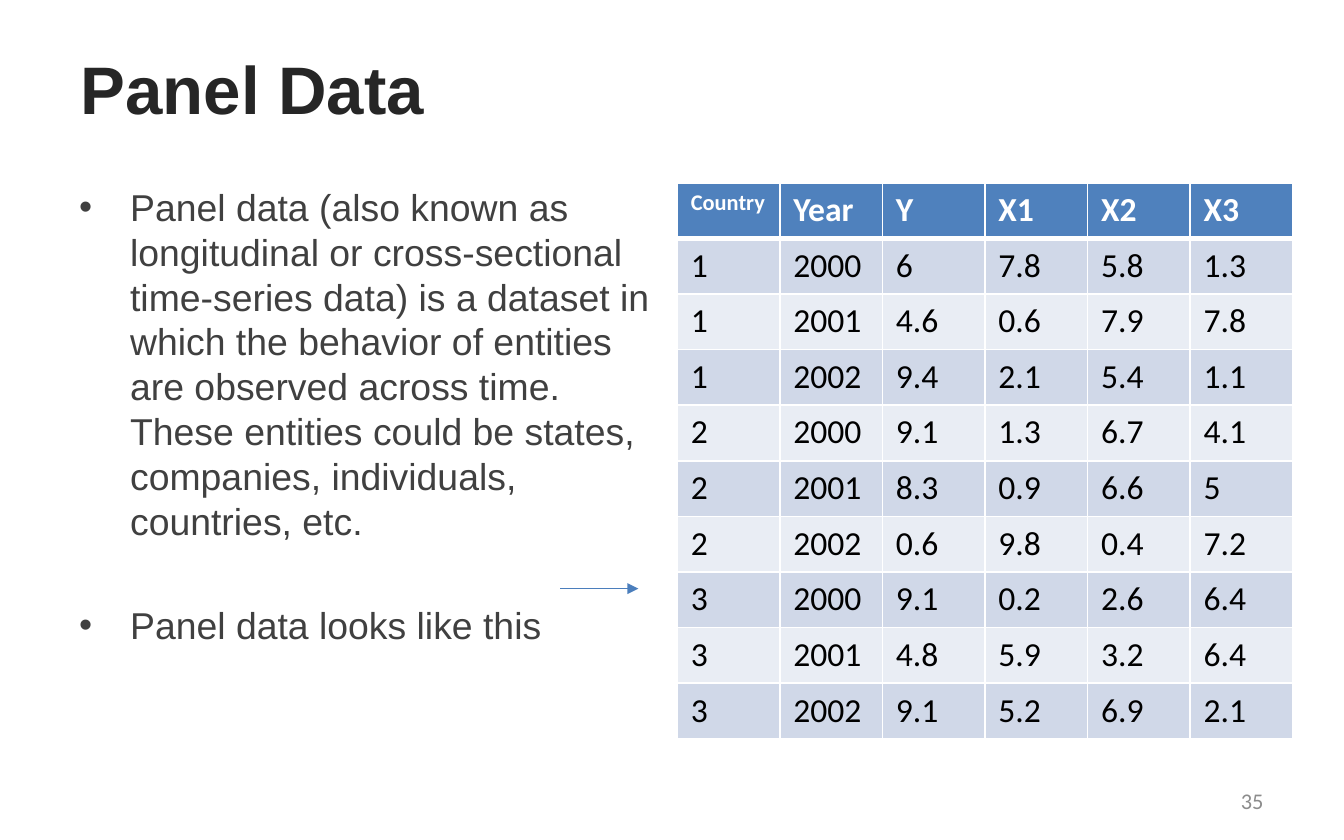
from lxml import etree
from pptx import Presentation
from pptx.dml.color import RGBColor
from pptx.enum.shapes import MSO_CONNECTOR
from pptx.enum.text import MSO_ANCHOR, PP_ALIGN
from pptx.oxml.ns import qn
from pptx.util import Inches, Pt

STRAIGHT = MSO_CONNECTOR.STRAIGHT
MIDDLE = MSO_ANCHOR.MIDDLE
LEFT, RIGHT = PP_ALIGN.LEFT, PP_ALIGN.RIGHT

WHITE = RGBColor(0xFF, 0xFF, 0xFF)
BLACK = RGBColor(0x00, 0x00, 0x00)
TITLE_GRAY = RGBColor(0x26, 0x26, 0x26)
BODY_GRAY = RGBColor(0x40, 0x40, 0x40)
NUMBER_GRAY = RGBColor(0x8C, 0x8C, 0x8C)
HEADER_BLUE = RGBColor(0x4F, 0x81, 0xBD)
BANDS = (RGBColor(0xD0, 0xD8, 0xE8), RGBColor(0xE9, 0xED, 0xF4))
ARROW_BLUE = RGBColor(0x4B, 0x7E, 0xBC)

# Content
TITLE = "Panel Data"
BULLETS = [
    "Panel data (also known as longitudinal or cross-sectional time-series data) "
    "is a dataset in which the behavior of entities are observed across time. "
    "These entities could be states, companies, individuals, countries, etc.",
    "Panel data looks like this",
]
SLIDE_NUMBER = "35"
HEADER = ("Country", "Year", "Y", "X1", "X2", "X3")
OBSERVATIONS = [
    ("1", "2000", "6", "7.8", "5.8", "1.3"),
    ("1", "2001", "4.6", "0.6", "7.9", "7.8"),
    ("1", "2002", "9.4", "2.1", "5.4", "1.1"),
    ("2", "2000", "9.1", "1.3", "6.7", "4.1"),
    ("2", "2001", "8.3", "0.9", "6.6", "5"),
    ("2", "2002", "0.6", "9.8", "0.4", "7.2"),
    ("3", "2000", "9.1", "0.2", "2.6", "6.4"),
    ("3", "2001", "4.8", "5.9", "3.2", "6.4"),
    ("3", "2002", "9.1", "5.2", "6.9", "2.1"),
]

# Layout in inches: left, top, width, height
SLIDE_SIZE = (10, 6.25)
TITLE_BOX = (0.5, 0.13, 9, 1.04)
BODY_BOX = (0.49, 1.32, 5.26, 4.12)
NUMBER_BOX = (7.17, 5.79, 2.33, 0.33)
TABLE_BOX = (5.04, 1.36, 4.58, 4.14)
ARROW_START, ARROW_END, ARROW_Y = 4.17, 4.75, 4.38
BULLET_INDENT = 0.38
TABLE_GAP = 0.16  # between the bullet text and the table


def inches(lengths):
    return [Inches(length) for length in lengths]


def add_run(paragraph, text, size, color, font="Arial", bold=False):
    run = paragraph.add_run()
    run.text = text
    run.font.size = Pt(size)
    run.font.name = font
    run.font.bold = bold
    run.font.color.rgb = color


def add_text_frame(slide, box):
    frame = slide.shapes.add_textbox(*inches(box)).text_frame
    frame.word_wrap = True
    return frame


def set_bullet(paragraph):
    properties = paragraph._p.get_or_add_pPr()
    properties.set("marL", str(Inches(BULLET_INDENT)))
    properties.set("indent", str(-Inches(BULLET_INDENT)))
    etree.SubElement(properties, qn("a:buFont")).set("typeface", "Arial")
    etree.SubElement(properties, qn("a:buChar")).set("char", "•")


def set_borders(cell, **widths):
    properties = cell._tc.get_or_add_tcPr()
    for position, side in enumerate("LRTB"):
        line = etree.Element(qn(f"a:ln{side}"), w=str(Pt(widths.get(side, 1))))
        fill = etree.SubElement(line, qn("a:solidFill"))
        etree.SubElement(fill, qn("a:srgbClr")).set("val", str(WHITE))
        properties.insert(position, line)


def add_title(slide):
    title = slide.shapes.title
    title.left, title.top, title.width, title.height = inches(TITLE_BOX)
    title.text_frame.vertical_anchor = MIDDLE
    paragraph = title.text_frame.paragraphs[0]
    paragraph.alignment = LEFT
    add_run(paragraph, TITLE, 36, TITLE_GRAY, bold=True)


def add_bullets(slide):
    frame = add_text_frame(slide, BODY_BOX)
    # Wrap the text before it reaches the table
    text_right = TABLE_BOX[0] - TABLE_GAP
    frame.margin_right = Inches(BODY_BOX[0] + BODY_BOX[2] - text_right)
    for index, text in enumerate(BULLETS):
        paragraph = frame.add_paragraph() if index else frame.paragraphs[0]
        set_bullet(paragraph)
        paragraph.line_spacing = Pt(24)
        if index:
            paragraph.space_before = Pt(32)
        add_run(paragraph, text, 20, BODY_GRAY)


def add_panel_table(slide):
    rows = [HEADER] + OBSERVATIONS
    table = slide.shapes.add_table(len(rows), len(HEADER), *inches(TABLE_BOX)).table
    for column in table.columns:
        column.width = Inches(TABLE_BOX[2] / len(HEADER))
    for row_index, values in enumerate(rows):
        table.rows[row_index].height = Inches(TABLE_BOX[3] / len(rows))
        is_header = row_index == 0
        for column_index, value in enumerate(values):
            cell = table.cell(row_index, column_index)
            cell.fill.solid()
            cell.fill.fore_color.rgb = HEADER_BLUE if is_header else BANDS[(row_index - 1) % 2]
            set_borders(cell, T=3 if row_index == 1 else 1, B=3 if is_header else 1)
            size = 12 if value == "Country" else 18
            add_run(cell.text_frame.paragraphs[0], value, size,
                    WHITE if is_header else BLACK, "Calibri", is_header)


def add_arrow(slide):
    arrow = slide.shapes.add_connector(
        STRAIGHT, *inches((ARROW_START, ARROW_Y, ARROW_END, ARROW_Y)))
    arrow.line.color.rgb = ARROW_BLUE
    arrow.line.width = Pt(0.75)
    etree.SubElement(arrow.line._get_or_add_ln(), qn("a:tailEnd")).set("type", "triangle")
    etree.SubElement(arrow._element.spPr, qn("a:effectLst"))


def add_slide_number(slide):
    frame = add_text_frame(slide, NUMBER_BOX)
    frame.vertical_anchor = MIDDLE
    paragraph = frame.paragraphs[0]
    paragraph.alignment = RIGHT
    add_run(paragraph, SLIDE_NUMBER, 12, NUMBER_GRAY, "Calibri")


def main():
    presentation = Presentation()
    presentation.slide_width, presentation.slide_height = inches(SLIDE_SIZE)
    slide = presentation.slides.add_slide(presentation.slide_layouts[5])
    add_title(slide)
    add_bullets(slide)
    add_slide_number(slide)
    add_panel_table(slide)
    add_arrow(slide)
    presentation.save("out.pptx")


if __name__ == "__main__":
    main()
